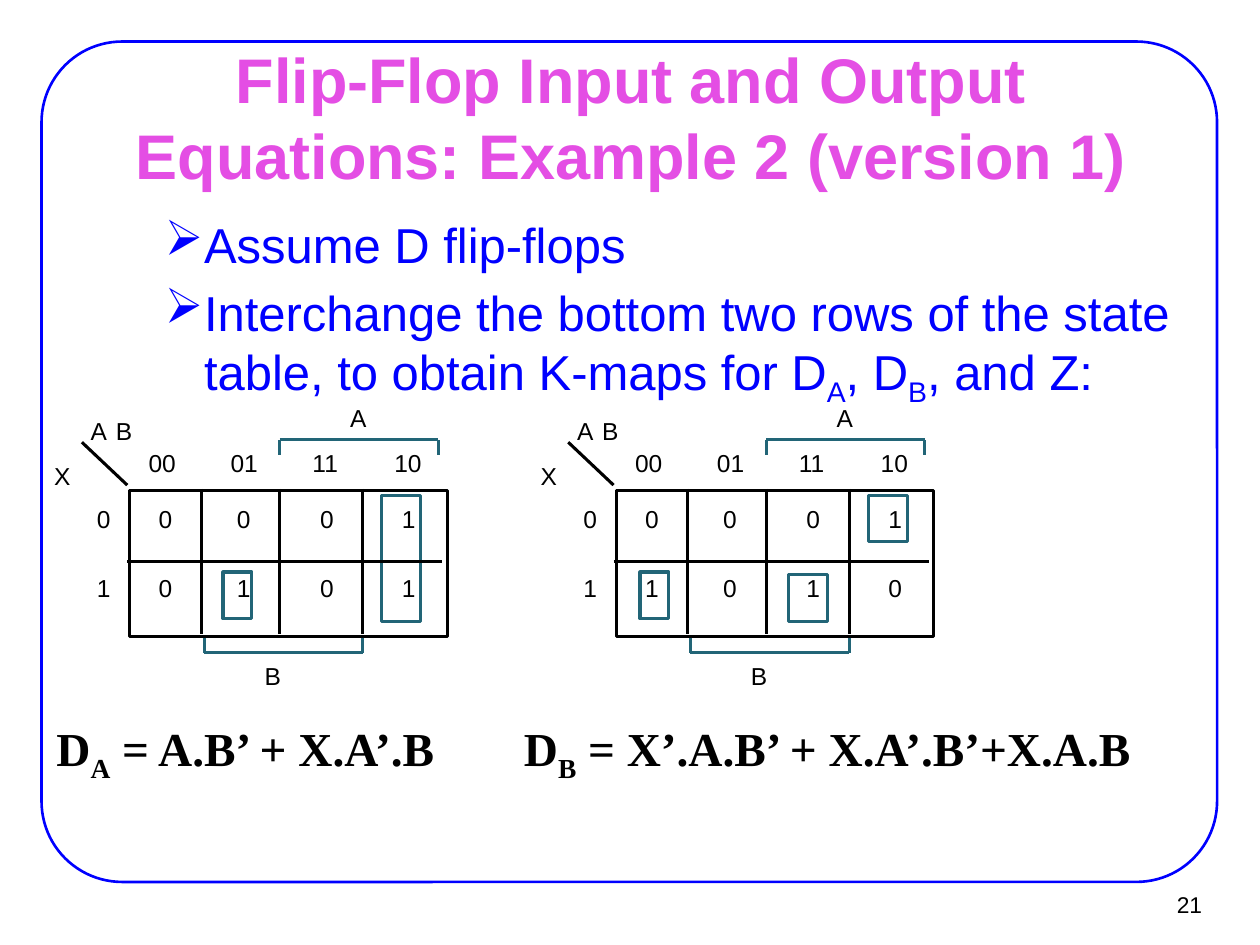
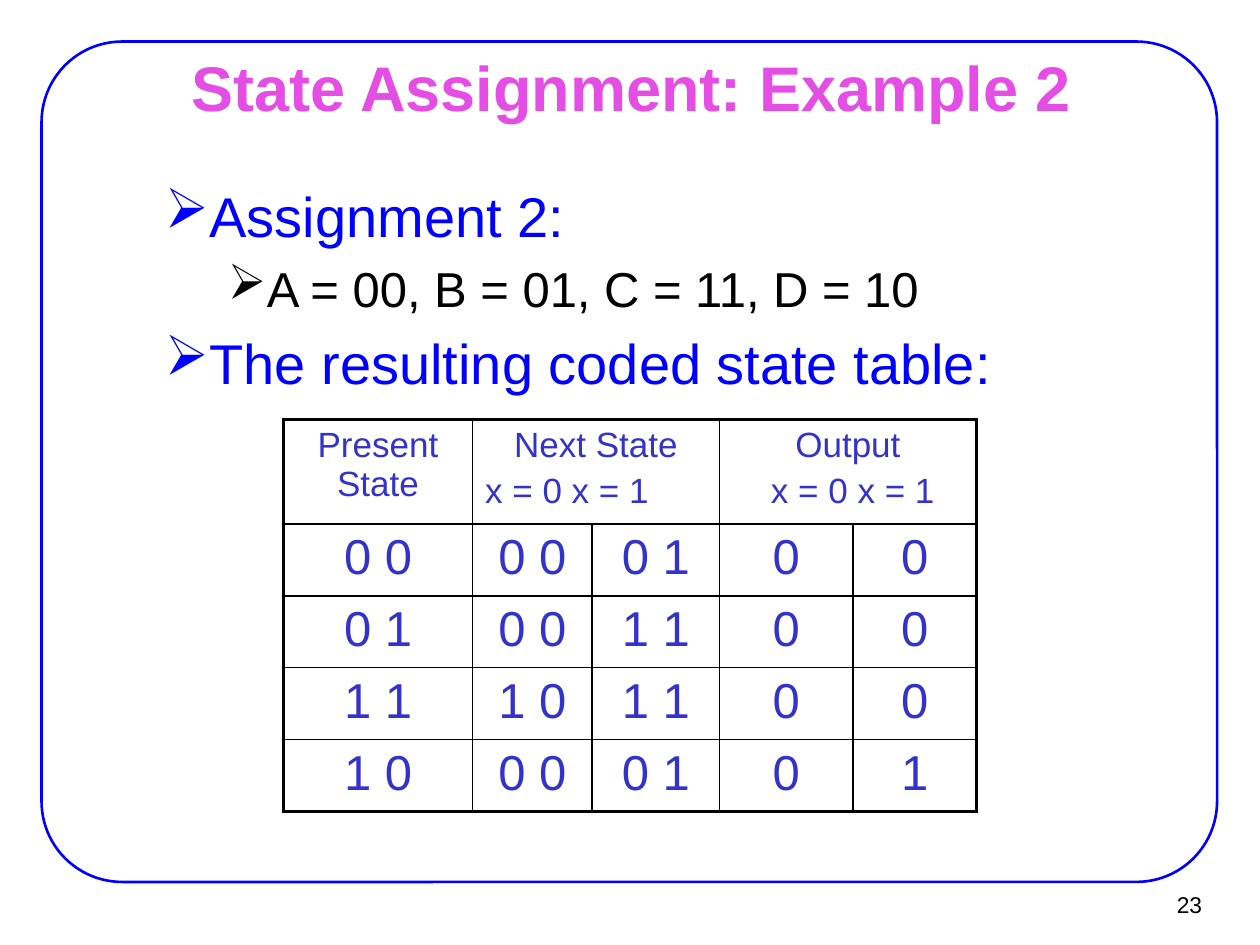
import pptx
import pptx.util
import pptx.dml.color
import pptx.enum.shapes
import pptx.enum.text
import pptx.oxml.ns
import lxml.etree

Inches = pptx.util.Inches
Pt = pptx.util.Pt
Align = pptx.enum.text.PP_ALIGN
Anchor = pptx.enum.text.MSO_ANCHOR
Shape = pptx.enum.shapes.MSO_SHAPE

colors = {
    "frame": "0000FF",
    "title": "E44EE4",
    "bullet": "0000FF",
    "ink": "000000",
    "loop": "226577",
    "table": "3333CC",
}
fonts = {
    "title": {"name": "Arial", "size": Pt(36), "bold": True},
    "number": {"name": "Arial", "size": Pt(13)},
    "map": {"name": "Arial", "size": Pt(14)},
    "equation": {"name": "Times New Roman", "size": Pt(27), "bold": True},
    "body 28": {"name": "Arial", "size": Pt(28)},
    "body 32": {"name": "Arial", "size": Pt(32)},
    "heading": {"name": "Arial", "size": Pt(20)},
}
map_shift = 3.86
column_lines = [1.6, 2.22, 2.88]
value_lefts = [1.26, 1.88, 2.54, 3.19]
row_tops = [4, 4.55]
kmaps = [
    {
        "values": ["0001", "0101"],
        "loops": [(3.03, 3.93, 0.31, 1), (1.77, 4.54, 0.23, 0.37)],
        "equation": (0.35, 3.7, "D|A| = A.B’ + X.A’.B"),
    },
    {
        "values": ["0001", "1010"],
        "loops": [(6.89, 3.93, 0.31, 0.37), (5.08, 4.54, 0.23, 0.37), (6.26, 4.56, 0.31, 0.37)],
        "equation": (4.06, 5.79, "D|B| = X’.A.B’ + X.A’.B’+X.A.B"),
    },
]
slides = [
    {
        "number": "21",
        "title": "Flip-Flop Input and Output Equations: Example 2 (version 1)",
        "title top": 0.68,
        "body top": 1.64,
        "body": [
            (0.81, -0.31, "body 28", "bullet", "Assume D flip-flops"),
            (0.81, -0.31, "body 28", "bullet",
             "Interchange the bottom two rows of the state table, to obtain K-maps for D|A|, D|B|, and Z:"),
        ],
    },
    {
        "number": "23",
        "title": "State Assignment: Example 2",
        "title top": 0.44,
        "body top": 1.38,
        "body": [
            (0.81, -0.31, "body 32", "bullet", "Assignment 2:"),
            (1.25, -0.25, "body 28", "ink", "A = 00, B = 01, C = 11, D = 10"),
            (0.81, -0.31, "body 32", "bullet", "The resulting coded state table:"),
        ],
    },
]
state_rows = [
    ["Present State", "Next State\nx = 0 x = 1", "", "Output\n x = 0 x = 1", ""],
    ["0 0", "0 0", "0 1", "0", "0"],
    ["0 1", "0 0", "1 1", "0", "0"],
    ["1 1", "1 0", "1 1", "0", "0"],
    ["1 0", "0 0", "0 1", "0", "1"],
]


def write(para, text, font, color, **layout):
    for name, value in layout.items():
        setattr(para, name, value)
    for index, piece in enumerate(text.split("|")):
        span = para.add_run()
        span.text = piece
        for name, value in fonts[font].items():
            setattr(span.font, name, value)
        span.font.color.rgb = pptx.dml.color.RGBColor.from_string(colors[color])
        if index % 2:
            span.font._element.set("baseline", "-25000")


def add_text(page, place, margins=(0, 0), wrap=True, anchor=Anchor.TOP):
    box = page.shapes.add_textbox(*[Inches(value) for value in place])
    side, top = [Inches(value) for value in margins]
    settings = {
        "margin_left": side, "margin_right": side, "margin_top": top, "margin_bottom": top,
        "word_wrap": wrap, "vertical_anchor": anchor,
    }
    for name, value in settings.items():
        setattr(box.text_frame, name, value)
    return box.text_frame


deck = pptx.Presentation()
deck.slide_width = Inches(10)
deck.slide_height = Inches(7.5)
pages = []

for slide in slides:
    page = deck.slides.add_slide(deck.slide_layouts[6])
    pages.append(page)
    frame = page.shapes.add_shape(
        Shape.ROUNDED_RECTANGLE, Inches(0.33), Inches(0.33), Inches(9.33), Inches(6.67))
    frame.adjustments[0] = 0.096
    frame.shadow.inherit = False
    frame.fill.background()
    frame.line.width = Pt(1.5)
    frame.line.color.rgb = pptx.dml.color.RGBColor.from_string(colors["frame"])

    box = add_text(page, (9.02, 6.99, 0.61, 0.37), (0.09, 0.04), False, Anchor.MIDDLE)
    write(box.paragraphs[0], slide["number"], "number", "ink", alignment=Align.RIGHT)
    box = add_text(page, (0.76, slide["title top"], 8.5, 0.49), (0.11, 0.06), True, Anchor.MIDDLE)
    write(box.paragraphs[0], slide["title"], "title", "title", alignment=Align.CENTER)

    box = add_text(page, (0.7, slide["body top"], 8.8, 1.95), (0.11, 0.06))
    for index, (margin, indent, font, color, text) in enumerate(slide["body"]):
        para = box.add_paragraph() if index else box.paragraphs[0]
        write(para, text, font, color, space_before=int(fonts[font]["size"] * 0.2))
        properties = para._p.get_or_add_pPr()
        properties.set("marL", str(Inches(margin)))
        properties.set("indent", str(Inches(indent)))
        for tag, name, value in [("a:buFont", "typeface", "Wingdings"), ("a:buChar", "char", "Ø")]:
            lxml.etree.SubElement(properties, pptx.oxml.ns.qn(tag)).set(name, value)

page = pages[0]
for map_index, kmap in enumerate(kmaps):
    shift = map_index * map_shift

    outlines = [(1.03 + shift, 3.89, 2.52, 1.16, "ink")]
    outlines += [(*loop, "loop") for loop in kmap["loops"]]
    for *place, color in outlines:
        outline = page.shapes.add_shape(Shape.RECTANGLE, *[Inches(value) for value in place])
        outline.shadow.inherit = False
        outline.fill.background()
        outline.line.width = Pt(1.75)
        outline.line.color.rgb = pptx.dml.color.RGBColor.from_string(colors[color])

    lines = [(1.01, 4.46, 3.51, 4.46, "ink"), (1.01, 3.85, 0.65, 3.51, "ink")]
    lines += [(left, 3.88, left, 5.03, "ink") for left in column_lines]
    for left, right, tip, base in [(1.62, 2.88, 5.06, 5.18), (2.22, 3.48, 3.61, 3.49)]:
        lines += [
            (left, tip, left, base, "loop"),
            (left, base, right, base, "loop"),
            (right, tip, right, base, "loop"),
        ]
    for left, top, right, bottom, color in lines:
        line = page.shapes.add_connector(
            pptx.enum.shapes.MSO_CONNECTOR.STRAIGHT,
            Inches(left + shift), Inches(top), Inches(right + shift), Inches(bottom))
        line.line.width = Pt(1.75)
        line.line.color.rgb = pptx.dml.color.RGBColor.from_string(colors[color])
        lxml.etree.SubElement(line._element.spPr, pptx.oxml.ns.qn("a:effectLst"))

    labels = [(0.72, 3.3, "A"), (0.92, 3.3, "B"), (2.78, 3.2, "A"), (2.1, 5.25, "B"), (0.43, 3.66, "X")]
    labels += [(1.18 + 0.65 * index, 3.56, code) for index, code in enumerate(["00", "01", "11", "10"])]
    for row, top in enumerate(row_tops):
        labels.append((0.77, top, str(row)))
        labels += [(left, top, value) for left, value in zip(value_lefts, kmap["values"][row])]
    for left, top, text in labels:
        box = add_text(page, (left + shift, top, 0.27, 0.23))
        write(box.paragraphs[0], text, "map", "ink")

    left, width, text = kmap["equation"]
    box = add_text(page, (left, 5.66, width, 0.55), (0.1, 0.05))
    write(box.paragraphs[0], text, "equation", "ink")

page = pages[1]
table = page.shapes.add_table(5, 5, Inches(2.25), Inches(3.33), Inches(5.5), Inches(3.11)).table
table.first_row = False
table.horz_banding = False
for column, width in zip(table.columns, [1.5, 0.95, 1.01, 1.06, 0.98]):
    column.width = Inches(width)
for row, height in zip(table.rows, [0.83] + [0.57] * 4):
    row.height = Inches(height)
for first in (1, 3):
    table.cell(0, first).merge(table.cell(0, first + 1))

for row, texts in enumerate(state_rows):
    for column, text in enumerate(texts):
        cell = table.cell(row, column)
        if cell.is_spanned:
            continue
        font = "body 28" if row else "heading"
        for index, part in enumerate(text.split("\n")):
            para = cell.text_frame.add_paragraph() if index else cell.text_frame.paragraphs[0]
            align = Align.LEFT if index and column == 1 else Align.CENTER
            write(para, part, font, "table", alignment=align,
                  space_before=int(fonts[font]["size"] * 0.2))
        last = column + cell.span_width - 1 if cell.is_merge_origin else column
        edges = {"lnL": column == 0, "lnR": last == 4, "lnT": row == 0, "lnB": row == 4}
        properties = cell._tc.get_or_add_tcPr()
        for tag, outer in edges.items():
            border = lxml.etree.SubElement(properties, pptx.oxml.ns.qn("a:" + tag))
            border.set("w", str(Pt(2.25 if outer else 1)))
            fill = lxml.etree.SubElement(border, pptx.oxml.ns.qn("a:solidFill"))
            lxml.etree.SubElement(fill, pptx.oxml.ns.qn("a:srgbClr")).set("val", colors["ink"])
        cell.fill.background()

deck.save("out.pptx")
